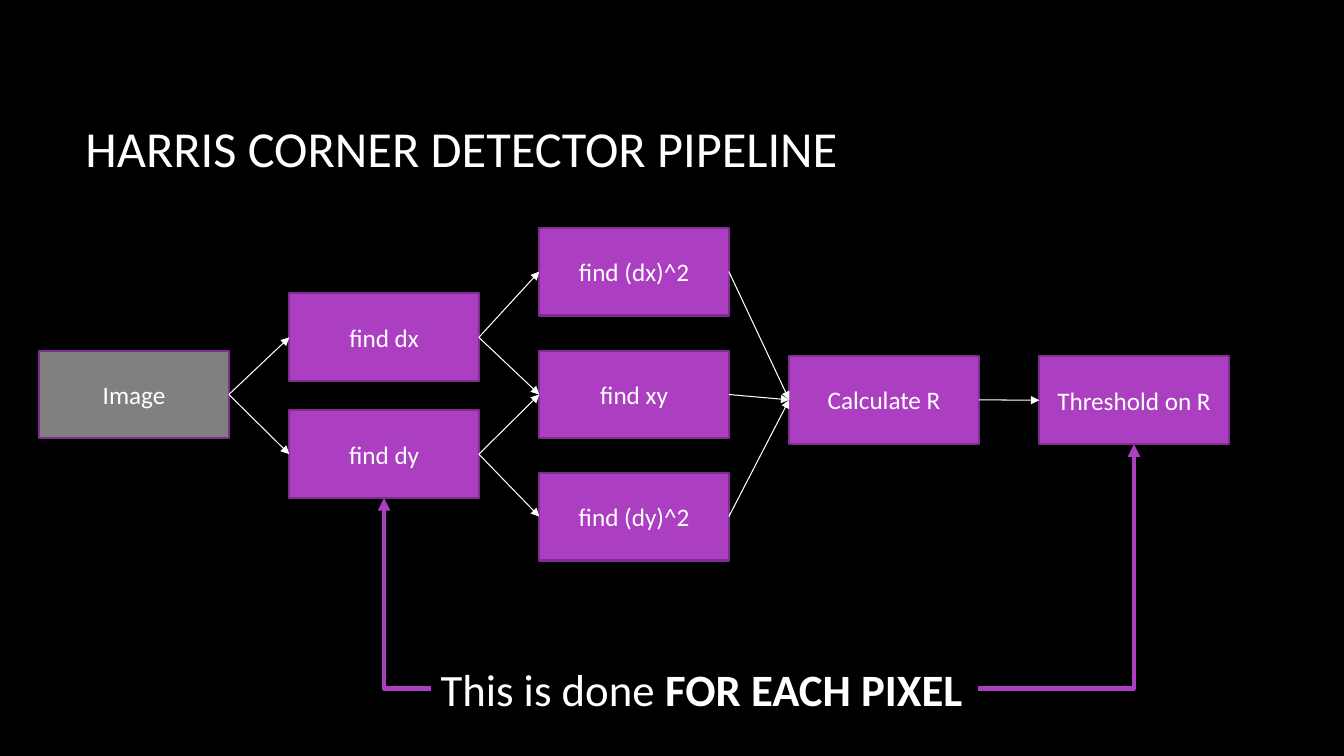
from lxml import etree
from pptx import Presentation
from pptx.dml.color import RGBColor
from pptx.enum.shapes import MSO_CONNECTOR, MSO_SHAPE
from pptx.enum.text import MSO_ANCHOR, MSO_AUTO_SIZE, PP_ALIGN
from pptx.oxml.ns import qn
from pptx.util import Pt

# Content: stage name -> (column, top in points)
TITLE = "HARRIS CORNER DETECTOR PIPELINE"
NOTE = [("This is done ", False), ("FOR EACH PIXEL", True)]
STAGES = {
    "Image": (0, 250.4),
    "find dx": (1, 209.6),
    "find dy": (1, 293),
    "find (dx)^2": (2, 162.6),
    "find (dy)^2": (2, 337.6),
    "find xy": (2, 250.4),
    "Calculate R": (3, 254.2),
    "Threshold on R": (4, 254.5),
}
FLOWS = [
    ("Image", "find dx"), ("Image", "find dy"),
    ("find dx", "find (dx)^2"), ("find dx", "find xy"),
    ("find dy", "find xy"), ("find dy", "find (dy)^2"),
    ("find (dx)^2", "Calculate R"), ("find xy", "Calculate R"),
    ("find (dy)^2", "Calculate R"), ("Calculate R", "Threshold on R"),
]

# Format and layout
COLORS = {"background": "000000", "text": "FFFFFF", "input": "808080",
          "stage": "AC3EC1", "border": "7F2E8F"}
FIRST_LEFT, COLUMN_STEP = 28.1, 178.56
BOX_WIDTH, BOX_HEIGHT = 135.4, 62.8
TOP, LEFT, BOTTOM, RIGHT = range(4)


def color(name):
    return RGBColor.from_string(COLORS[name])


def write(shape, runs, size, frame_format, alignment=PP_ALIGN.LEFT):
    frame = shape.text_frame
    for name, value in frame_format.items():
        setattr(frame, name, value)
    paragraph = frame.paragraphs[0]
    paragraph.alignment = alignment
    for text, bold in runs:
        run = paragraph.add_run()
        run.text = text
        font_format = {"name": "Calibri", "size": Pt(size), "bold": bold}
        for name, value in font_format.items():
            setattr(run.font, name, value)
        run.font.color.rgb = color("text")


def connect(kind, start, start_side, end, end_side, line_color, width):
    connector = slide.shapes.add_connector(kind, 0, 0, 0, 0)
    connector.begin_connect(start, start_side)
    connector.end_connect(end, end_side)
    connector.line.color.rgb = color(line_color)
    connector.line.width = Pt(width)
    etree.SubElement(connector.line._get_or_add_ln(), qn("a:tailEnd"), type="triangle")
    properties = connector._element.spPr
    etree.SubElement(properties, qn("a:effectLst"))
    if kind == MSO_CONNECTOR.ELBOW:  # a single bend
        properties.find(qn("a:prstGeom")).set("prst", "bentConnector2")


presentation = Presentation()
presentation.slide_width, presentation.slide_height = Pt(960), Pt(540)
slide = presentation.slides.add_slide(presentation.slide_layouts[6])
slide.background.fill.solid()
slide.background.fill.fore_color.rgb = color("background")

# Title
title = slide.shapes.add_textbox(Pt(54), Pt(48.2), Pt(798), Pt(114.5))
write(title, [(TITLE, False)], 36,
      {"word_wrap": True, "vertical_anchor": MSO_ANCHOR.MIDDLE})

# Pipeline stages
boxes = {}
for stage, (column, top) in STAGES.items():
    box = slide.shapes.add_shape(
        MSO_SHAPE.RECTANGLE, Pt(FIRST_LEFT + column * COLUMN_STEP), Pt(top),
        Pt(BOX_WIDTH), Pt(BOX_HEIGHT))
    box.shadow.inherit = False
    box.fill.solid()
    box.fill.fore_color.rgb = color("input" if column == 0 else "stage")
    box.line.color.rgb = color("border")
    box.line.width = Pt(1.5)
    write(box, [(stage, False)], 18,
          {"word_wrap": True, "vertical_anchor": MSO_ANCHOR.MIDDLE}, PP_ALIGN.CENTER)
    boxes[stage] = box

# Arrows between stages
for source, target in FLOWS:
    connect(MSO_CONNECTOR.STRAIGHT, boxes[source], RIGHT, boxes[target], LEFT, "text", 0.75)

# Note with the two arrows that mark its span
note = slide.shapes.add_textbox(Pt(307.6), Pt(468.8), Pt(391), Pt(46))
write(note, NOTE, 32, {"word_wrap": False, "auto_size": MSO_AUTO_SIZE.SHAPE_TO_FIT_TEXT})
for side, stage in ((LEFT, "find dy"), (RIGHT, "Threshold on R")):
    connect(MSO_CONNECTOR.ELBOW, note, side, boxes[stage], BOTTOM, "stage", 3)

presentation.save("out.pptx")
